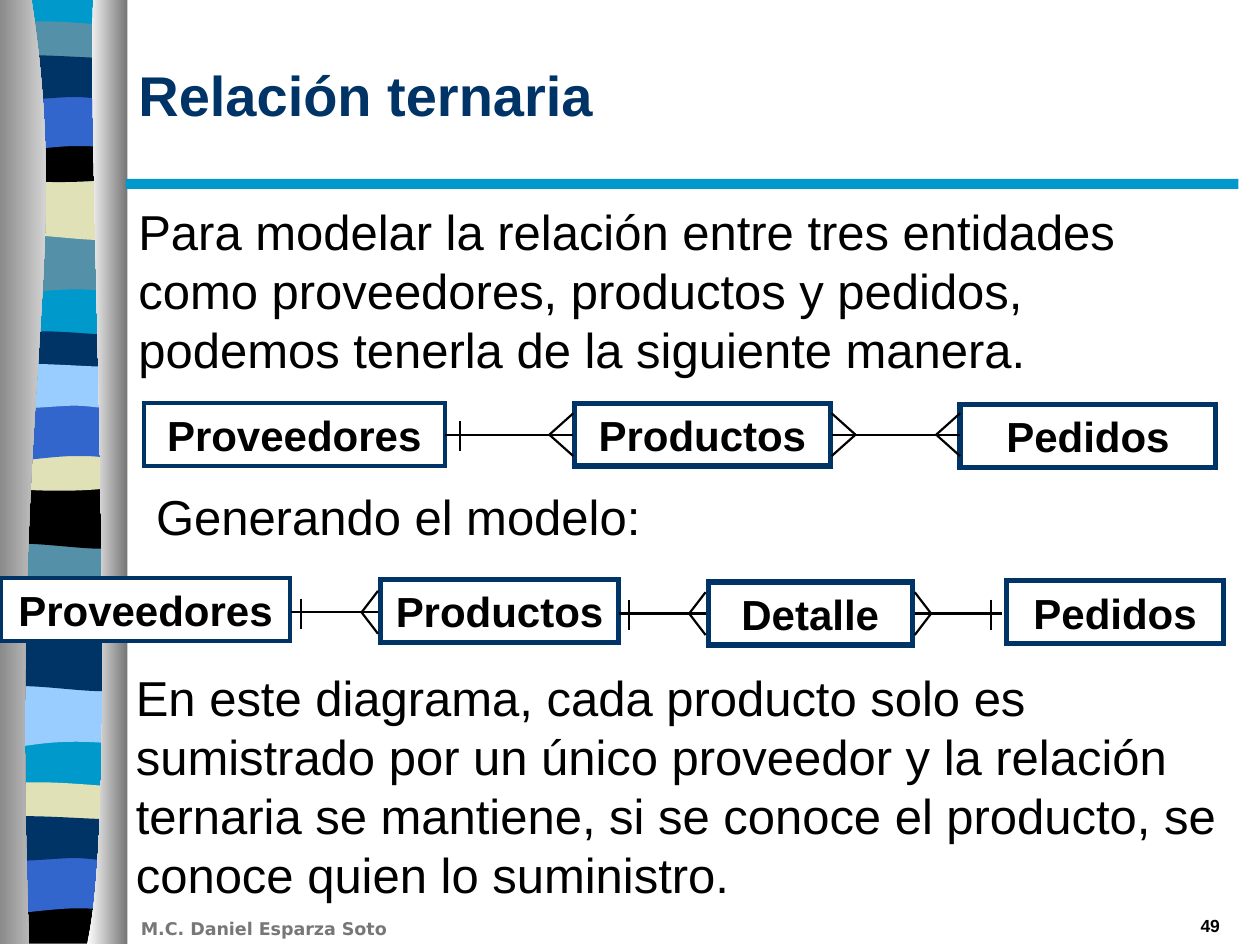
from lxml import etree
from pptx import Presentation
from pptx.dml.color import RGBColor
from pptx.enum.shapes import MSO_CONNECTOR, MSO_SHAPE
from pptx.enum.text import MSO_ANCHOR, PP_ALIGN
from pptx.oxml.ns import qn
from pptx.util import Inches, Pt

NAVY, CYAN, TEAL, SAND = "003366", "0099CC", "5490A8", "E1E1B7"
BLUE, SKY, BLACK, WHITE, GRAY = "3366CC", "99CCFF", "000000", "FFFFFF", "767676"

color = RGBColor.from_string


def add_outline(start, segments):
    points = [(Inches(s[i]), Inches(s[i + 1])) for s in segments for i in range(0, len(s), 2)]
    builder = slide.shapes.build_freeform(Inches(start[0]), Inches(start[1]))
    builder.add_line_segments(points, close=True)
    shape = builder.convert_to_shape()
    shape.shadow.inherit = False
    shape.line.fill.background()
    lines = iter(list(shape._element.iter(qn("a:lnTo"))))
    for segment in segments:
        first = next(lines)
        if len(segment) == 6:
            first.tag = qn("a:cubicBezTo")
            for _ in range(2):
                line = next(lines)
                first.append(line[0])
                line.getparent().remove(line)
    return shape


def write(shape, text, size, hex_color=BLACK, bold=False, font="Arial",
          align=PP_ALIGN.LEFT, anchor=MSO_ANCHOR.TOP, wrap=True):
    frame = shape.text_frame
    frame.text = text
    frame.word_wrap = wrap
    frame.vertical_anchor = anchor
    paragraph = frame.paragraphs[0]
    paragraph.alignment = align
    font_format = paragraph.runs[0].font
    font_format.size = Pt(size)
    font_format.name = font
    font_format.bold = bold
    font_format.color.rgb = color(hex_color)


presentation = Presentation()
presentation.slide_width = Inches(10)
presentation.slide_height = Inches(7.5)
slide = presentation.slides.add_slide(presentation.slide_layouts[6])

left, right = -0.05, 0.98
base = add_outline((right, 0), [(right, 7.47), (left, 7.47), (left, 0)])
base.fill.solid()
base.fill.fore_color.rgb = color(CYAN)

bowl_top = [(0.59, 0.05, 0.77, 0, right, 0)]
band_profiles = {
    "slope": (0.47, [(0.27, -0.08, 0.13, 0.08, left, 0)], [(right, 0)]),
    "sag": (0.47, [(0.81, 0.08, 0.27, -0.06, left, 0)], [(right, 0)]),
    "crest": (0.24, [(0.81, 0.05, 0.13, 0.05, left, 0)],
              [(0.02, -0.05, 0.18, -0.04, 0.35, -0.04), (0.52, -0.04, 0.85, -0.01, right, 0)]),
    "bowl": (0.32, [(0.81, 0.06, 0.13, 0.06, left, 0)], bowl_top),
    "floor": (0.37, [(left, 0)], bowl_top),
    "arch": (0.47, [(0.82, -0.05, 0.76, -0.05, 0.59, -0.05), (0.42, -0.05, 0.11, 0, left, 0)],
             [(right, 0)]),
    "ripple": (0.31, [(0.92, 0.05, 0.76, 0, 0.59, 0), (0.42, 0, 0.06, 0.05, left, 0)],
               [(0.1, -0.05, 0.65, 0, 0.82, 0), (0.99, 0, 0.95, 0, right, 0)]),
}
bands = [
    ("slope", 1.85, TEAL), ("sag", 1.41, SAND), ("crest", 0.21, TEAL),
    ("bowl", 1.08, BLACK), ("arch", 0.74, BLUE), ("ripple", 0.46, NAVY),
    ("slope", 4.31, TEAL), ("sag", 3.86, BLACK), ("crest", 2.67, NAVY),
    ("bowl", 3.53, SAND), ("arch", 3.2, BLUE), ("ripple", 2.91, SKY),
    ("slope", 5.44, SKY), ("sag", 4.99, NAVY), ("crest", 6.25, SAND),
    ("floor", 7.12, BLACK), ("arch", 6.79, BLUE), ("ripple", 6.5, NAVY),
]
for profile, top, hex_color in bands:
    height, lower_edge, upper_edge = band_profiles[profile]
    segments = []
    for edge, base_line in ((lower_edge, top + height), ([(left, 0)], top), (upper_edge, top)):
        for segment in edge:
            segments.append([v + base_line if i % 2 else v for i, v in enumerate(segment)])
    band = add_outline((right, top + height), segments)
    band.fill.solid()
    band.fill.fore_color.rgb = color(hex_color)

pillars = [
    ((0.25, 0), [(0.58, 2.16, 0.07, 2.96, 0.23, 7.49), (-0.1, 7.49), (-0.1, 0)], (GRAY, WHITE)),
    ((0.74, 0), [(0.69, 1.25, 0.96, 6.46, 0.69, 7.49), (1.01, 7.49), (1.01, 0)], (WHITE, GRAY)),
]
for start, segments, stops in pillars:
    pillar = add_outline(start, segments)
    pillar.fill.gradient()
    pillar.fill.gradient_angle = 0
    for stop, hex_color in zip(pillar.fill.gradient_stops, stops):
        stop.color.rgb = color(hex_color)

rule = slide.shapes.add_shape(
    MSO_SHAPE.RECTANGLE, Inches(1), Inches(1.42), Inches(8.83), Inches(0.08))
rule.shadow.inherit = False
rule.fill.solid()
rule.fill.fore_color.rgb = color(CYAN)
rule.line.fill.background()

texts = [
    (1.02, 7.24, 2.83, 0.27, "M.C. Daniel Esparza Soto",
     {"size": 10, "hex_color": "777777", "bold": True, "font": "DejaVu Sans"}),
    (1, 1.55, 8.78, 1.42,
     "Para modelar la relación entre tres entidades como proveedores, productos y pedidos, "
     "podemos tenerla de la siguiente manera.", {"size": 28}),
    (1, 0.12, 8.78, 1.25, "Relación ternaria",
     {"size": 32, "hex_color": NAVY, "bold": True, "anchor": MSO_ANCHOR.MIDDLE}),
    (7.7, 7.21, 2.08, 0.26, "49", {"size": 10, "bold": True, "align": PP_ALIGN.RIGHT}),
    (1.14, 3.81, 8.78, 0.76, "Generando el modelo:", {"size": 28}),
    (0.98, 5.25, 8.78, 0.76,
     "En este diagrama, cada producto solo es sumistrado por un único proveedor y la relación "
     "ternaria se mantiene, si se conoce el producto, se conoce quien lo suministro.",
     {"size": 28}),
]
for x, y, width, height, text, style in texts:
    box = slide.shapes.add_textbox(Inches(x), Inches(y), Inches(width), Inches(height))
    write(box, text, **style)

entities = [
    ("Productos", 4.56, 3.2, 2.03, 3, None),
    ("Proveedores", 1.14, 3.2, 2.39, 2.25, None),
    ("Pedidos", 7.62, 3.21, 2.03, 3, None),
    ("Productos", 3.02, 4.6, 1.89, 3, None),
    ("Proveedores", 0.01, 4.59, 2.29, 2.25, WHITE),
    ("Pedidos", 7.99, 4.61, 1.72, 3, None),
    ("Detalle", 5.62, 4.62, 1.62, 3, None),
]
for name, x, y, width, line_width, fill in entities:
    entity = slide.shapes.add_shape(
        MSO_SHAPE.RECTANGLE, Inches(x), Inches(y), Inches(width), Inches(0.5))
    entity.shadow.inherit = False
    if fill:
        entity.fill.solid()
        entity.fill.fore_color.rgb = color(fill)
    else:
        entity.fill.background()
    entity.line.color.rgb = color(NAVY)
    entity.line.width = Pt(line_width)
    etree.SubElement(entity._element.spPr.find(qn("a:ln")), qn("a:miter"), lim="800000")
    write(entity, name, 24, bold=True, align=PP_ALIGN.CENTER,
          anchor=MSO_ANCHOR.MIDDLE, wrap=False)

relations = [
    (3.53, 4.55, 3.45, 0.19, "one", "many"),
    (6.6, 7.62, 3.45, 0.19, "many", "many"),
    (2.31, 3, 4.86, 0.13, "one", "many"),
    (4.91, 5.6, 4.87, 0.13, "one", "many"),
    (7.26, 7.95, 4.87, 0.13, "many", "one"),
]
for start, end, y, depth, start_kind, end_kind in relations:
    strokes = [(start, y, end, y)]
    for x, kind, direction in ((start, start_kind, 1), (end, end_kind, -1)):
        if kind == "many":
            apex = x + direction * depth
            strokes += [(apex, y, x, y - 0.17), (apex, y, x, y + 0.17)]
        else:
            bar = x + direction * depth * 0.63
            strokes.append((bar, y - 0.11, bar, y + 0.13))
    for stroke in strokes:
        connector = slide.shapes.add_connector(
            MSO_CONNECTOR.STRAIGHT, *[Inches(value) for value in stroke])
        connector.line.color.rgb = color(BLACK)
        connector.line.width = Pt(1.25)
        etree.SubElement(connector._element.spPr, qn("a:effectLst"))

presentation.save("out.pptx")
